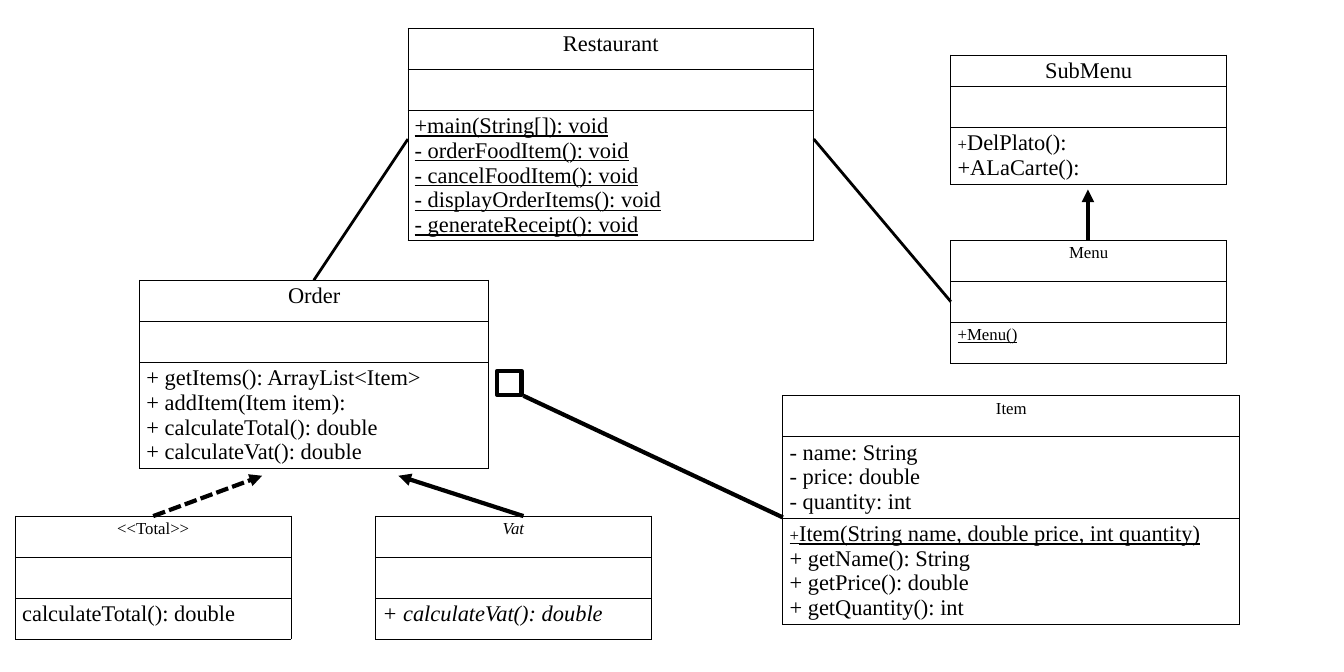
from dataclasses import dataclass

from lxml.etree import SubElement
from pptx import Presentation
from pptx.dml.color import RGBColor
from pptx.enum.dml import MSO_LINE
from pptx.enum.shapes import MSO_CONNECTOR, MSO_SHAPE
from pptx.enum.text import PP_ALIGN
from pptx.oxml import parse_xml
from pptx.oxml.ns import nsdecls, qn
from pptx.util import Inches, Pt

COLORS = {"ink": "000000", "paper": "FFFFFF"}
INK = RGBColor.from_string(COLORS["ink"])
FONT = "Times New Roman"
SMALL, LARGE = 18, 24
ROW = 0.61


@dataclass(frozen=True)
class Member:
    text: str
    size: int = LARGE
    underline: bool = False
    small_sign: str = ""


@dataclass(frozen=True)
class UmlClass:
    name: str
    left: float
    top: float
    width: float
    rows: tuple[float, float, float]
    methods: tuple[Member, ...]
    attributes: tuple[Member, ...] = ()
    name_size: int = SMALL
    italic: bool = False


@dataclass(frozen=True)
class Relation:
    start: tuple[float, float]
    end: tuple[float, float]
    weight: float = 4.5
    arrow: bool = False
    dashed: bool = False


def members(*texts: str, underline: bool = False) -> tuple[Member, ...]:
    return tuple(Member(text, underline=underline) for text in texts)


CLASSES = (
    UmlClass("Restaurant", 6.07, 0.42, 6.04, (ROW, ROW, 1.94),
             members("+main(String[]): void", "- orderFoodItem(): void",
                     "- cancelFoodItem(): void", "- displayOrderItems(): void",
                     "- generateReceipt(): void", underline=True),
             name_size=LARGE),
    UmlClass("Vat", 5.59, 7.68, 4.1, (ROW, ROW, ROW),
             members("+ calculateVat(): double"), italic=True),
    UmlClass("<<Total>>", 0.23, 7.68, 4.1, (ROW, ROW, ROW),
             members("calculateTotal(): double")),
    UmlClass("Order", 2.08, 4.17, 5.19, (ROW, ROW, 1.58),
             members("+ getItems(): ArrayList<Item>", "+ addItem(Item item):",
                     "+ calculateTotal(): double", "+ calculateVat(): double"),
             name_size=LARGE),
    UmlClass("Item", 11.65, 5.89, 6.8, (ROW, 1.21, 1.58),
             (Member("Item(String name, double price, int quantity)",
                     underline=True, small_sign="+"),
              *members("+ getName(): String", "+ getPrice(): double",
                       "+ getQuantity(): int")),
             members("- name: String", "- price: double", "- quantity: int")),
    UmlClass("SubMenu", 14.15, 0.82, 4.1, (0.46, ROW, 0.84),
             (Member("DelPlato():", small_sign="+"), Member("+ALaCarte():")),
             name_size=LARGE),
    UmlClass("Menu", 14.15, 3.58, 4.1, (ROW, ROW, ROW),
             (Member("+Menu()", size=SMALL, underline=True),)),
)

RELATIONS = (
    Relation((2.28, 7.68), (3.9, 7.08), arrow=True, dashed=True),
    Relation((7.79, 7.68), (5.93, 7.08), arrow=True),
    Relation((11.65, 7.7), (7.79, 5.89)),
    Relation((16.19, 3.57), (16.19, 2.82), arrow=True),
    Relation((14.15, 4.49), (12.11, 2.07), weight=3),
    Relation((4.67, 4.17), (6.07, 2.07), weight=3),
)


def add_borders(cell) -> None:
    properties = cell._tc.get_or_add_tcPr()
    for index, side in enumerate(("lnL", "lnR", "lnT", "lnB")):
        properties.insert(index, parse_xml(
            f'<a:{side} {nsdecls("a")} w="{Pt(1)}"><a:solidFill>'
            f'<a:srgbClr val="{COLORS["ink"]}"/></a:solidFill></a:{side}>'))


def write_members(cell, lines: tuple[Member, ...], italic: bool,
                  align: PP_ALIGN = PP_ALIGN.LEFT) -> None:
    for index, member in enumerate(lines):
        frame = cell.text_frame
        paragraph = frame.add_paragraph() if index else frame.paragraphs[0]
        paragraph.alignment = align
        font = paragraph.font
        font.name, font.size, font.italic = FONT, Pt(member.size), italic
        font.underline = member.underline
        font.color.rgb = INK
        if member.small_sign:
            sign = paragraph.add_run()
            sign.text = member.small_sign
            sign.font.size = Pt(SMALL)
        paragraph.add_run().text = member.text


def add_class(slide, uml: UmlClass) -> None:
    table = slide.shapes.add_table(
        len(uml.rows), 1, Inches(uml.left), Inches(uml.top),
        Inches(uml.width), Inches(sum(uml.rows))).table
    table.first_row = table.horz_banding = False
    for row, height in zip(table.rows, uml.rows):
        row.height = Inches(height)
        row.cells[0].fill.background()
        add_borders(row.cells[0])
    heading = (Member(uml.name, uml.name_size),)
    write_members(table.cell(0, 0), heading, uml.italic, PP_ALIGN.CENTER)
    write_members(table.cell(1, 0), uml.attributes, uml.italic)
    write_members(table.cell(2, 0), uml.methods, uml.italic)


def add_relation(slide, relation: Relation) -> None:
    connector = slide.shapes.add_connector(
        MSO_CONNECTOR.STRAIGHT,
        *(Inches(value) for value in relation.start + relation.end))
    line = connector.line
    line.color.rgb = INK
    line.width = Pt(relation.weight)
    if relation.dashed:
        line.dash_style = MSO_LINE.SQUARE_DOT
    properties = connector._element.spPr
    if relation.arrow:
        SubElement(properties.find(qn("a:ln")), qn("a:tailEnd"), type="triangle")
    SubElement(properties, qn("a:effectLst"))


def add_aggregation_end(slide) -> None:
    square = slide.shapes.add_shape(
        MSO_SHAPE.RECTANGLE, Inches(7.4), Inches(5.52), Inches(0.36), Inches(0.36))
    square.shadow.inherit = False
    square.fill.background()
    square.line.color.rgb = INK
    square.line.width = Pt(4.5)


def main() -> None:
    deck = Presentation()
    deck.slide_width, deck.slide_height = Inches(20), Inches(10)
    slide = deck.slides.add_slide(deck.slide_layouts[6])
    slide.background.fill.solid()
    slide.background.fill.fore_color.rgb = RGBColor.from_string(COLORS["paper"])
    for uml in CLASSES:
        add_class(slide, uml)
    for relation in RELATIONS:
        add_relation(slide, relation)
    add_aggregation_end(slide)
    deck.save("out.pptx")


main()
